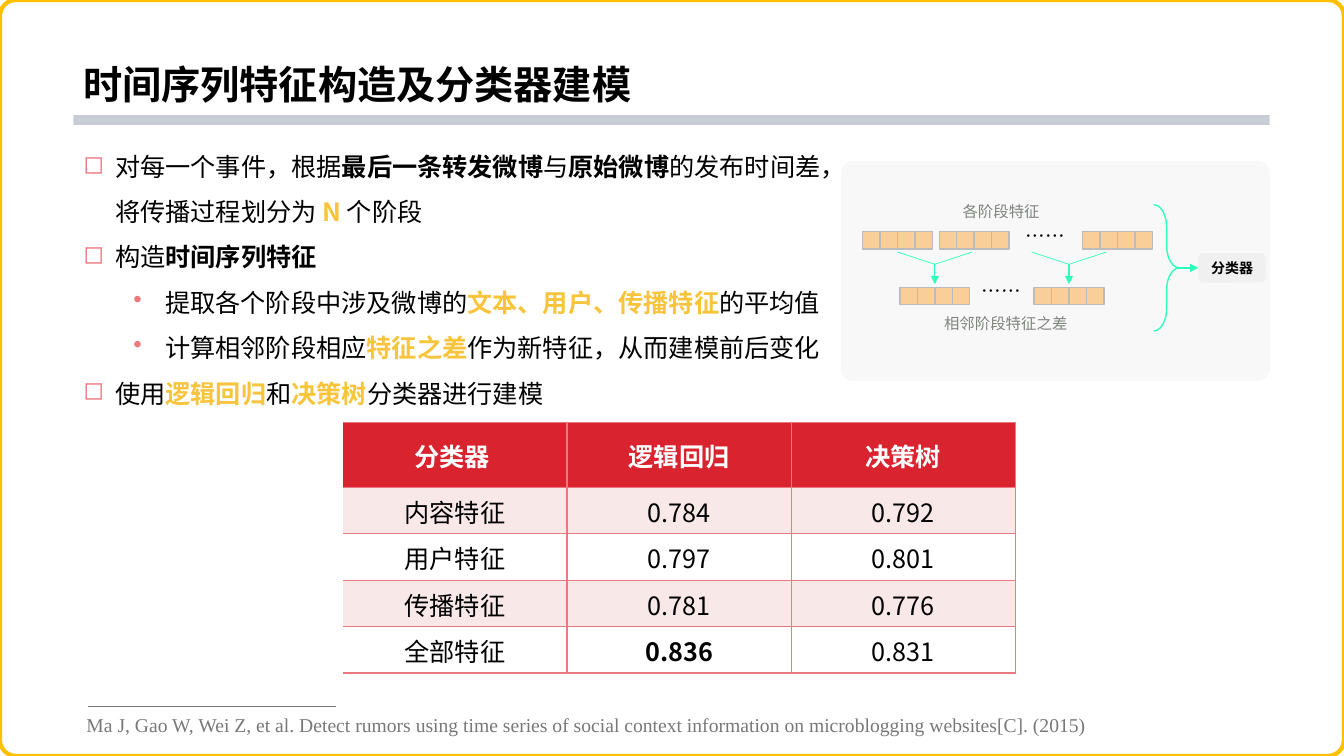
"""Slide on time-series features and classifier modelling."""
from lxml.etree import SubElement
from pptx import Presentation
from pptx.dml.color import RGBColor
from pptx.enum.shapes import MSO_CONNECTOR, MSO_SHAPE
from pptx.enum.text import MSO_ANCHOR, PP_ALIGN
from pptx.oxml.ns import qn
from pptx.util import Cm, Pt

SANS, SERIF = "Noto Sans CJK SC", "Times New Roman"
COLORS = {
    "black": "000000", "white": "FFFFFF", "frame": "FFC000", "bar": "C8CDD5",
    "accent": "EA7A80", "header": "D9232E", "band": "F8E8E8", "key": "F7C43C",
    "panel": "EEEFEE", "label": "F0F0F0", "cell": "FACE99", "cell_edge": "BABBBA",
    "flow": "2DFFB9", "caption": "7F847F", "reference": "787878",
}
PLAIN = {"color": "black", "bold": False}
BOLD = {"color": "black", "bold": True}
KEY = {"color": "key", "bold": True}

TITLE = "时间序列特征构造及分类器建模"
POINTS = [
    (0, [("对每一个事件，根据", PLAIN), ("最后一条转发微博", BOLD), ("与", PLAIN),
         ("原始微博", BOLD), ("的发布时间差，将传播过程划分为 ", PLAIN),
         ("N ", KEY), ("个阶段", PLAIN)]),
    (0, [("构造", PLAIN), ("时间序列特征", BOLD)]),
    (1, [("提取各个阶段中涉及微博的", PLAIN), ("文本、用户、传播特征", KEY),
         ("的平均值", PLAIN)]),
    (1, [("计算相邻阶段相应", PLAIN), ("特征之差", KEY),
         ("作为新特征，从而建模前后变化", PLAIN)]),
    (0, [("使用", PLAIN), ("逻辑回归", KEY), ("和", PLAIN), ("决策树", KEY),
         ("分类器进行建模", PLAIN)]),
]
BULLETS = [("◻", 0.8), ("•", 2.06)]
HANG = 0.8
RESULTS = [
    ("分类器 ", "逻辑回归", "决策树"),
    ("内容特征", "0.784", "0.792"),
    ("用户特征", "0.797", "0.801"),
    ("传播特征", "0.781", "0.776"),
    ("全部特征", "0.836", "0.831"),
]
BEST = "0.836"
REFERENCE = ("Ma J, Gao W, Wei Z, et al. Detect rumors using time series of social context "
             "information on microblogging websites[C]. (2015)")

CELL, CELLS = 0.44, 4
STAGE_TOP, DIFF_TOP = 5.84, 7.24
STAGE_LEFTS, DIFF_LEFTS = [21.74, 23.67, 27.28], [22.68, 26.06]
DOTS = [(25.6, 5.51, 1.5, 0.86), (24.49, 6.91, 1.5, 0.86)]
CAPTIONS = [("各阶段特征", (24, 4.98, 2.46, 0.74)),
            ("相邻阶段特征之差", (23.52, 7.8, 3.66, 0.74))]
FORK_TOP, FORK_JOIN, FORK_TIP, FORK_REACH = 6.35, 6.66, 7.16, 0.94


def rgb(name):
    return RGBColor.from_string(COLORS[name])


def assign(target, values):
    for name, value in values.items():
        setattr(target, name, value)


def write(para, text, size, color="black", bold=False, font=SANS):
    span = para.add_run()
    span.text = text
    assign(span.font, {"name": font, "size": Pt(size), "bold": bold})
    span.font.color.rgb = rgb(color)
    SubElement(span._r.get_or_add_rPr(), qn("a:ea"), typeface=font)


def add_text(shapes, area, text, size, align=PP_ALIGN.LEFT, anchor=MSO_ANCHOR.TOP, **look):
    box = shapes.add_textbox(*map(Cm, area))
    box.text_frame.vertical_anchor = anchor
    para = box.text_frame.paragraphs[0]
    para.alignment = align
    write(para, text, size, **look)


def add_block(shapes, kind, area, fill=None, line=None, width=1, adjust=()):
    block = shapes.add_shape(kind, *map(Cm, area))
    block.shadow.inherit = False
    for index, value in enumerate(adjust):
        block.adjustments[index] = value
    if fill:
        block.fill.solid()
        block.fill.fore_color.rgb = rgb(fill)
    else:
        block.fill.background()
    if line:
        block.line.color.rgb = rgb(line)
        block.line.width = Pt(width)
    else:
        block.line.fill.background()
    return block


def add_line(shapes, ends, color, width, arrow=False):
    line = shapes.add_connector(MSO_CONNECTOR.STRAIGHT, *map(Cm, ends))
    line.line.color.rgb = rgb(color)
    line.line.width = Pt(width)
    if arrow:
        SubElement(line.get_or_add_ln(), qn("a:tailEnd"), type="triangle")
    SubElement(line._element.spPr, qn("a:effectLst"))
    return line


def add_points(page):
    frame = page.shapes.add_textbox(Cm(1.85), Cm(3.3), Cm(19.35), Cm(7.04)).text_frame
    frame.word_wrap = True
    for index, (level, spans) in enumerate(POINTS):
        para = frame.add_paragraph() if index else frame.paragraphs[0]
        assign(para, {"level": level, "line_spacing": 1.5})
        mark, indent = BULLETS[level]
        properties = para._p.get_or_add_pPr()
        properties.set("marL", str(Cm(indent)))
        properties.set("indent", str(-Cm(HANG)))
        tint = SubElement(properties, qn("a:buClr"))
        SubElement(tint, qn("a:srgbClr"), val=COLORS["accent"])
        SubElement(properties, qn("a:buChar"), char=mark)
        for text, look in spans:
            write(para, text, 18, **look)


def add_borders(cell, open_left):
    properties = cell._tc.get_or_add_tcPr()
    for side in "LRTB":
        edge = SubElement(properties, qn(f"a:ln{side}"), w=str(Pt(1)))
        if side == "L" and open_left:
            SubElement(edge, qn("a:noFill"))
        else:
            paint = SubElement(edge, qn("a:solidFill"))
            SubElement(paint, qn("a:srgbClr"), val=COLORS["accent"])


def add_results(page):
    table = page.shapes.add_table(len(RESULTS), len(RESULTS[0]), Cm(8.64), Cm(10.64),
                                  Cm(16.95), Cm(6.32)).table
    for column in table.columns:
        column.width = Cm(5.65)
    for row, values in enumerate(RESULTS):
        table.rows[row].height = Cm(1.17 if row else 1.64)
        fill = ("band" if row % 2 else "white") if row else "header"
        for column, value in enumerate(values):
            cell = table.cell(row, column)
            assign(cell, {"vertical_anchor": MSO_ANCHOR.MIDDLE, "margin_left": Cm(0.03),
                          "margin_right": Cm(0.03), "margin_top": Cm(0.03),
                          "margin_bottom": 0})
            add_borders(cell, column == 0)
            cell.fill.solid()
            cell.fill.fore_color.rgb = rgb(fill)
            para = cell.text_frame.paragraphs[0]
            para.alignment = PP_ALIGN.CENTER
            write(para, value, 18, "black" if row else "white", row == 0 or value == BEST)


def add_diagram(page):
    shapes = page.shapes.add_group_shape().shapes
    panel = add_block(shapes, MSO_SHAPE.ROUNDED_RECTANGLE, (21.2, 4.06, 10.8, 5.54),
                      "panel", adjust=[0.055])
    tint = panel._element.spPr.find(".//" + qn("a:srgbClr"))
    SubElement(tint, qn("a:alpha"), val="40000")
    for top, lefts in [(STAGE_TOP, STAGE_LEFTS), (DIFF_TOP, DIFF_LEFTS)]:
        for left in lefts:
            for index in range(CELLS):
                add_block(shapes, MSO_SHAPE.RECTANGLE,
                          (left + index * CELL, top, CELL, CELL), "cell", "cell_edge")
    for area in DOTS:
        add_text(shapes, area, "……", 14)
    for left in DIFF_LEFTS:
        center = left + CELLS * CELL / 2
        add_line(shapes, (center, FORK_JOIN, center, FORK_TIP), "flow", 0.75, True)
        for reach in (-FORK_REACH, FORK_REACH):
            add_line(shapes, (center + reach, FORK_TOP, center, FORK_JOIN), "flow", 0.5)
    for text, area in CAPTIONS:
        add_text(shapes, area, text, 11, PP_ALIGN.CENTER, color="caption")
    add_block(shapes, MSO_SHAPE.RIGHT_BRACE, (29.08, 5.16, 0.64, 3.18),
              line="flow", adjust=[0.878, 0.5])
    label = add_block(shapes, MSO_SHAPE.ROUNDED_RECTANGLE, (30.2, 6.38, 1.7, 0.74), "label")
    assign(label.text_frame, {"vertical_anchor": MSO_ANCHOR.MIDDLE, "word_wrap": False})
    para = label.text_frame.paragraphs[0]
    para.alignment = PP_ALIGN.CENTER
    write(para, "分类器", 10, bold=True)
    arrow = add_line(shapes, (29.72, 6.75, 30.2, 6.75), "flow", 1, True)
    arrow.end_connect(label, 1)


def main():
    deck = Presentation()
    assign(deck, {"slide_width": Cm(33.87), "slide_height": Cm(19.05)})
    page = deck.slides.add_slide(deck.slide_layouts[6])
    add_block(page.shapes, MSO_SHAPE.RECTANGLE, (1.85, 2.9, 30.15, 0.25), "bar")
    add_block(page.shapes, MSO_SHAPE.ROUNDED_RECTANGLE, (0, 0, 33.87, 19.05),
              line="frame", width=3, adjust=[0.021])
    add_text(page.shapes, (1.85, 0, 30.15, 2.84), TITLE, 28,
             anchor=MSO_ANCHOR.BOTTOM, bold=True)
    add_results(page)
    add_points(page)
    add_diagram(page)
    add_text(page.shapes, (1.93, 17.83, 25.93, 0.86), REFERENCE, 14,
             color="reference", font=SERIF)
    add_line(page.shapes, (2.21, 17.81, 8.48, 17.81), "reference", 0.5)
    deck.save("out.pptx")


if __name__ == "__main__":
    main()
